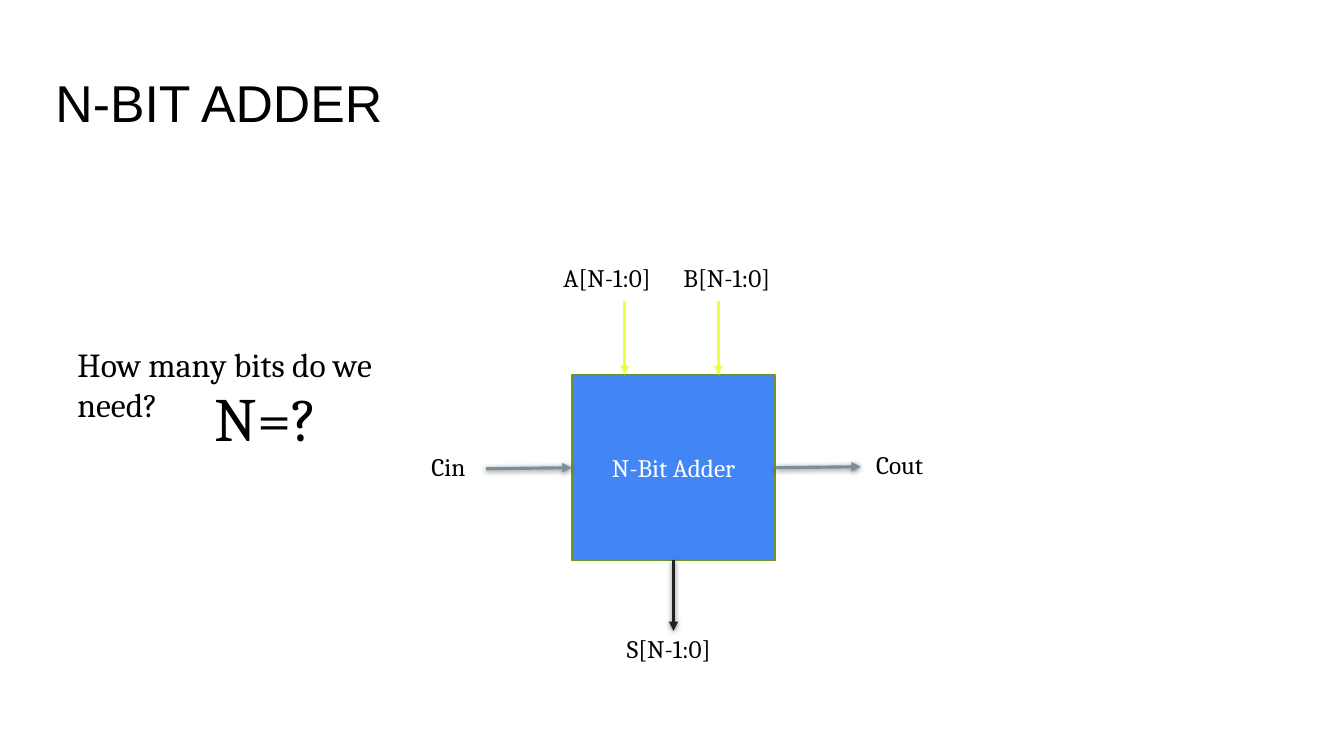
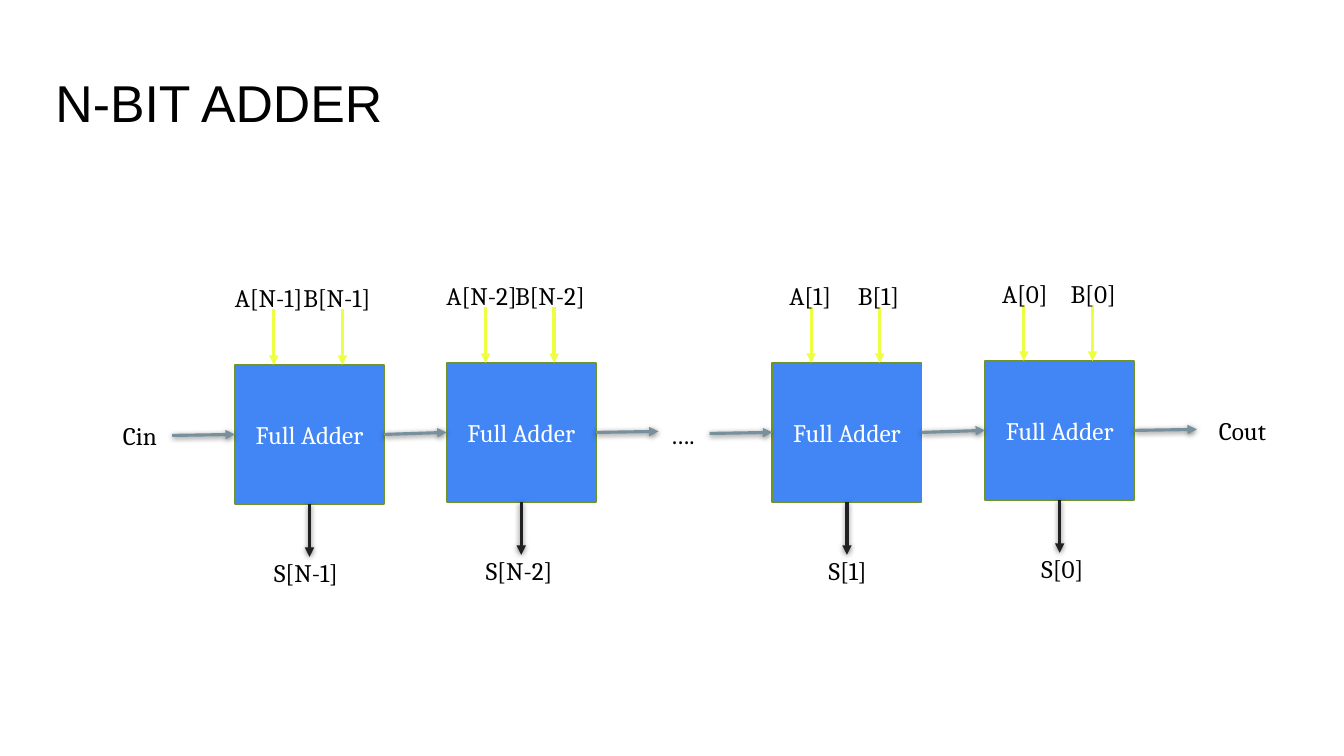
from dataclasses import dataclass
from typing import NamedTuple, Optional

from lxml.etree import SubElement
from pptx import Presentation
from pptx.dml.color import RGBColor
from pptx.enum.shapes import MSO_CONNECTOR as Cxn, MSO_SHAPE as Shp
from pptx.enum.text import MSO_ANCHOR as Anchor, PP_ALIGN as Align
from pptx.oxml.ns import qn
from pptx.shapes.autoshape import Shape
from pptx.slide import Slide
from pptx.util import Inches, Pt

BLACK = RGBColor(0x00, 0x00, 0x00)
WHITE = RGBColor(0xFF, 0xFF, 0xFF)
BLUE = RGBColor(0x42, 0x85, 0xF4)
GREEN = RGBColor(0x6F, 0x94, 0x28)
YELLOW = RGBColor(0xEE, 0xFF, 0x41)
GREY = RGBColor(0x78, 0x90, 0x9C)
DARK = RGBColor(0x21, 0x21, 0x21)

TITLE_FONT = {"name": "Arial", "size": Pt(37)}
BODY_FONT = {"name": "Cambria", "size": Pt(18)}

TOP, LEFT, BOTTOM, RIGHT = range(4)
SIDE_MIDDLES = ((0.5, 0), (0, 0.5), (0.5, 1), (1, 0.5))

# Arrow places and lengths as shares of the adder's width or height
A_SHARE, B_SHARE = 0.26, 0.72
INPUT_SHARE, SUM_SHARE, CARRY_SHARE = 0.4, 0.38, 0.42


class End(NamedTuple):
    """End of a wire, joined to a side when a shape is given."""
    x: float
    y: float
    sp: Optional[Shape] = None
    site: int = TOP


class Label(NamedTuple):
    text: str
    x: float
    y: float
    w: float = 0.95
    h: float = 0.4
    size: int = 18


@dataclass
class Adder:
    name: str
    bits: str
    x: float
    y: float
    w: float
    h: float
    # Label offsets from the adder's top left corner
    a_dx: float
    b_dx: float
    sum_dx: float
    input_dy: float
    sum_dy: float
    label_w: float = 0.95


def write(sp: Shape, text: str, font: dict, color: RGBColor, align: Align = Align.LEFT):
    tf = sp.text_frame
    tf.word_wrap = True
    p = tf.paragraphs[0]
    p.alignment = align
    r = p.add_run()
    r.text = text
    for key, value in font.items():
        setattr(r.font, key, value)
    r.font.color.rgb = color
    return p


def add_slide(prs: Presentation, title: str) -> Slide:
    s = prs.slides.add_slide(prs.slide_layouts[5])
    sp = s.shapes.title
    box = {"left": 0.45, "top": 0.65, "width": 12.42, "height": 0.83}
    for key, value in box.items():
        setattr(sp, key, Inches(value))
    sp.text_frame.vertical_anchor = Anchor.MIDDLE
    write(sp, title, TITLE_FONT, BLACK).line_spacing = 0.8
    return s


def add_label(s: Slide, label: Label) -> None:
    sp = s.shapes.add_textbox(*map(Inches, (label.x, label.y, label.w, label.h)))
    write(sp, label.text, {**BODY_FONT, "size": Pt(label.size)}, BLACK)


def side(sp: Shape, site: int) -> End:
    fx, fy = SIDE_MIDDLES[site]
    return End(sp.left.inches + fx * sp.width.inches,
               sp.top.inches + fy * sp.height.inches, sp, site)


def add_wire(s: Slide, start: End, end: End, color: RGBColor, shadow: bool = True) -> None:
    cxn = s.shapes.add_connector(
        Cxn.STRAIGHT, *map(Inches, (start.x, start.y, end.x, end.y)))
    for point, connect in ((start, cxn.begin_connect), (end, cxn.end_connect)):
        if point.sp is not None:
            connect(point.sp, point.site)
    cxn.line.color.rgb = color
    cxn.line.width = Pt(2.25)
    SubElement(cxn.line._get_or_add_ln(), qn("a:tailEnd"), type="triangle")
    effects = SubElement(cxn._element.spPr, qn("a:effectLst"))
    if shadow:
        outer = SubElement(effects, qn("a:outerShdw"), blurRad=str(Pt(4)),
                           dist=str(Pt(1)), dir="5400000", rotWithShape="0")
        black = SubElement(outer, qn("a:srgbClr"), val=str(BLACK))
        SubElement(black, qn("a:alpha"), val="50000")


def add_carry_in(s: Slide, sp: Shape) -> None:
    end = side(sp, LEFT)
    add_wire(s, End(end.x - CARRY_SHARE * sp.width.inches, end.y + 0.01), end, GREY)


def add_carry_out(s: Slide, sp: Shape) -> None:
    start = side(sp, RIGHT)
    add_wire(s, start, End(start.x + CARRY_SHARE * sp.width.inches, start.y - 0.01), GREY)


def add_adder(s: Slide, adder: Adder) -> Shape:
    """Draw an adder with its A and B inputs and its sum output."""
    x, y, w, h = adder.x, adder.y, adder.w, adder.h
    sp = s.shapes.add_shape(Shp.RECTANGLE, *map(Inches, (x, y, w, h)))
    sp.shadow.inherit = False
    sp.fill.solid()
    sp.fill.fore_color.rgb = BLUE
    sp.line.color.rgb = GREEN
    sp.line.width = Pt(1.25)
    sp.text_frame.vertical_anchor = Anchor.MIDDLE
    write(sp, adder.name, BODY_FONT, WHITE, Align.CENTER)

    for share in (A_SHARE, B_SHARE):
        in_x = x + share * w
        add_wire(s, End(in_x, y - INPUT_SHARE * h), End(in_x, y), YELLOW, shadow=False)
    start = side(sp, BOTTOM)
    add_wire(s, start, End(start.x, start.y + SUM_SHARE * h), DARK)

    for signal, dx, dy in (("A", adder.a_dx, adder.input_dy),
                           ("B", adder.b_dx, adder.input_dy),
                           ("S", adder.sum_dx, adder.sum_dy)):
        add_label(s, Label(f"{signal}[{adder.bits}]", x + dx, y + dy, adder.label_w))
    return sp


def full_adder(bits: str, x: float, y: float) -> Adder:
    shift = 0.17 if len(bits) == 1 else 0  # short labels start further right
    return Adder("Full Adder", bits, x, y, 1.48, 1.38, a_dx=shift - 0.1,
                 b_dx=shift + 0.58, sum_dx=shift + 0.29, input_dy=-0.87, sum_dy=1.86)


def build_block_slide(prs: Presentation) -> None:
    s = add_slide(prs, "N-BIT ADDER")
    sp = add_adder(s, Adder("N-Bit Adder", "N-1:0", 5.67, 3.72, 2.02, 1.84, a_dx=-0.18,
                            b_dx=1.01, sum_dx=0.45, input_dy=-1.17, sum_dy=2.51,
                            label_w=1.48))
    add_carry_in(s, sp)
    add_carry_out(s, sp)
    for label in (Label("Cin", 4.18, 4.43),
                  Label("Cout", 8.59, 4.41),
                  Label("How many bits do we need?", 0.67, 3.36, 3.97, 0.91, 24),
                  Label("N=?", 2.03, 3.72, 1.26, 0.85, 44)):
        add_label(s, label)


def build_chain_slide(prs: Presentation) -> None:
    s = add_slide(prs, "N-BIT ADDER")
    chain = [add_adder(s, full_adder(*place)) for place in (
        ("N-1", 2.33, 3.62), ("N-2", 4.43, 3.6), ("1", 7.66, 3.6), ("0", 9.77, 3.58))]

    # Carries: joined inside each pair, open at both ends and at the gap
    for first, second in (chain[:2], chain[2:]):
        add_carry_in(s, first)
        add_wire(s, side(first, RIGHT), side(second, LEFT), GREY)
        add_carry_out(s, second)
    for label in (Label("Cin", 1.12, 4.12),
                  Label("….", 6.55, 4.11),
                  Label("Cout", 11.99, 4.07)):
        add_label(s, label)


def main() -> None:
    prs = Presentation()
    prs.slide_width, prs.slide_height = Inches(13.33), Inches(7.5)
    build_block_slide(prs)
    build_chain_slide(prs)
    prs.save("out.pptx")


if __name__ == "__main__":
    main()
